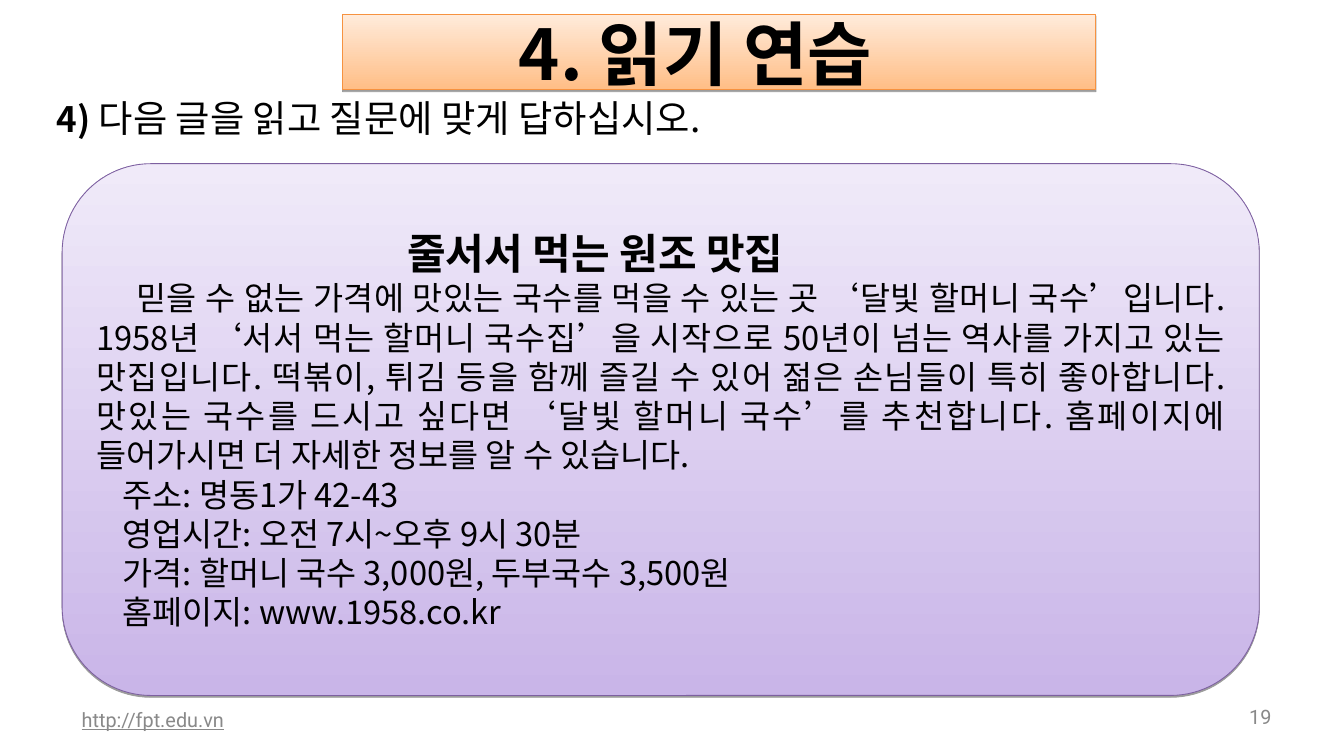
"""Build the Korean reading practice slide."""
from dataclasses import dataclass

from lxml import etree
from pptx import Presentation
from pptx.dml.color import RGBColor
from pptx.enum import shapes, text
from pptx.oxml import ns
from pptx.util import Cm, Pt

BLACK = RGBColor(0x00, 0x00, 0x00)
GREY = RGBColor(0x89, 0x89, 0x89)
ORANGE = RGBColor(0xFF, 0xBE, 0x86)
PALE_ORANGE = RGBColor(0xFF, 0xEB, 0xDB)
ORANGE_LINE = RGBColor(0xF6, 0x92, 0x40)
PURPLE = RGBColor(0xC9, 0xB5, 0xE8)
PALE_PURPLE = RGBColor(0xF0, 0xEA, 0xF9)
PURPLE_LINE = RGBColor(0x7D, 0x60, 0xA0)
KOREAN = "Noto Sans CJK KR"
LATIN = "Roboto"
ALIGN = text.PP_ALIGN
MIDDLE = text.MSO_ANCHOR.MIDDLE


@dataclass(frozen=True)
class Run:
    text: str
    size: float
    bold: bool = False
    font: str = KOREAN
    color: RGBColor = BLACK
    underline: bool = False


@dataclass(frozen=True)
class Para:
    runs: tuple[Run, ...]
    align: ALIGN = ALIGN.LEFT
    first: float = 0
    left: float = 0


@dataclass(frozen=True)
class Box:
    at: tuple[float, float, float, float]
    paras: tuple[Para, ...]
    insets: tuple[float, float, float, float] = (0.25, 0.13, 0.25, 0.13)
    anchor: text.MSO_ANCHOR = MIDDLE
    grow: bool = False


@dataclass(frozen=True)
class Panel:
    box: Box
    kind: shapes.MSO_SHAPE
    bottom: RGBColor
    top: RGBColor
    line: RGBColor


def detail(label: str) -> Para:
    return Para((Run(label, 28),), ALIGN.JUSTIFY, left=0.8)


FOOTER_INSETS = (0.36, 0.18, 0.36, 0.18)
BOXES = (
    Box((2.11, 21.16, 12.88, 1.22),
        (Para((Run("http://fpt.edu.vn", 17, False, LATIN, GREY, True),)),),
        FOOTER_INSETS),
    Box((36.83, 21.16, 1.98, 1.04),
        (Para((Run("19", 17, False, LATIN, GREY),), ALIGN.RIGHT),),
        FOOTER_INSETS),
    Box((1.47, 2.74, 27.31, 1.63),
        (Para((Run("4) ", 30, True),
               Run("다음 글을 읽고 질문에 맞게 답하십시오.", 32))),),
        anchor=text.MSO_ANCHOR.TOP, grow=True),
)
STORY = (
    "믿을 수 없는 가격에 맛있는 국수를 먹을 수 있는 곳 ‘달빛 할머니 국수’입니다. "
    "1958년 ‘서서 먹는 할머니 국수집’을 시작으로 50년이 넘는 역사를 가지고 있는 맛집입니다. "
    "떡볶이, 튀김 등을 함께 즐길 수 있어 젊은 손님들이 특히 좋아합니다. "
    "맛있는 국수를 드시고 싶다면 ‘달빛 할머니 국수’를 추천합니다. "
    "홈페이지에 들어가시면 더 자세한 정보를 알 수 있습니다."
)
PANELS = (
    Panel(Box((10.36, 0.43, 22.78, 2.29),
              (Para((Run("4. 읽기 연습", 60, True),), ALIGN.CENTER),),
              (0.25, 0.13, 1.68, 0.13)),
          shapes.MSO_SHAPE.RECTANGLE, ORANGE, PALE_ORANGE, ORANGE_LINE),
    Panel(Box((1.88, 4.95, 36.2, 16.08),
              (Para((Run("줄서서 먹는 원조 맛집", 36, True),), ALIGN.JUSTIFY, left=9.4),
               Para((Run(STORY, 28),), ALIGN.JUSTIFY, first=1.21),
               detail("주소: 명동1가 42-43"),
               detail("영업시간: 오전 7시~오후 9시 30분"),
               detail("가격: 할머니 국수 3,000원, 두부국수 3,500원"),
               detail("홈페이지: www.1958.co.kr"))),
          shapes.MSO_SHAPE.ROUNDED_RECTANGLE, PURPLE, PALE_PURPLE, PURPLE_LINE),
)


def write(sp, box: Box) -> None:
    tf = sp.text_frame
    tf.word_wrap = True
    tf.vertical_anchor = box.anchor
    tf.margin_left, tf.margin_top, tf.margin_right, tf.margin_bottom = map(Cm, box.insets)
    if box.grow:
        tf.auto_size = text.MSO_AUTO_SIZE.SHAPE_TO_FIT_TEXT
    for i, para in enumerate(box.paras):
        p = tf.add_paragraph() if i else tf.paragraphs[0]
        p.alignment = para.align
        pPr = p._p.get_or_add_pPr()
        pPr.set("marL", str(Cm(para.left)))
        pPr.set("indent", str(Cm(para.first)))
        for run in para.runs:
            r = p.add_run()
            r.text = run.text
            r.font.size = Pt(run.size)
            r.font.bold = run.bold
            r.font.underline = run.underline
            r.font.color.rgb = run.color
            r.font.name = run.font
            ea = etree.SubElement(r._r.get_or_add_rPr(), ns.qn("a:ea"))
            ea.set("typeface", run.font)


def add_shadow(sp) -> None:
    sp.shadow.inherit = False
    effects = sp._element.spPr.find(ns.qn("a:effectLst"))
    shadow = etree.SubElement(effects, ns.qn("a:outerShdw"), blurRad="0",
                              dist=str(Pt(1.6)), dir="5400000", rotWithShape="0")
    color = etree.SubElement(shadow, ns.qn("a:srgbClr"), val=str(BLACK))
    etree.SubElement(color, ns.qn("a:alpha"), val="38000")


def add_panel(s, panel: Panel) -> None:
    sp = s.shapes.add_shape(panel.kind, *map(Cm, panel.box.at))
    sp.fill.gradient()
    sp.fill.gradient_angle = 90
    for stop, color in zip(sp.fill.gradient_stops, (panel.bottom, panel.top)):
        stop.color.rgb = color
    sp.line.color.rgb = panel.line
    sp.line.width = Pt(0.75)
    add_shadow(sp)
    write(sp, panel.box)


def main() -> None:
    prs = Presentation()
    prs.slide_width, prs.slide_height = Cm(40.64), Cm(22.86)
    s = prs.slides.add_slide(prs.slide_layouts[6])
    for panel in PANELS:
        add_panel(s, panel)
    for box in BOXES:
        write(s.shapes.add_textbox(*map(Cm, box.at)), box)
    prs.save("out.pptx")


if __name__ == "__main__":
    main()
